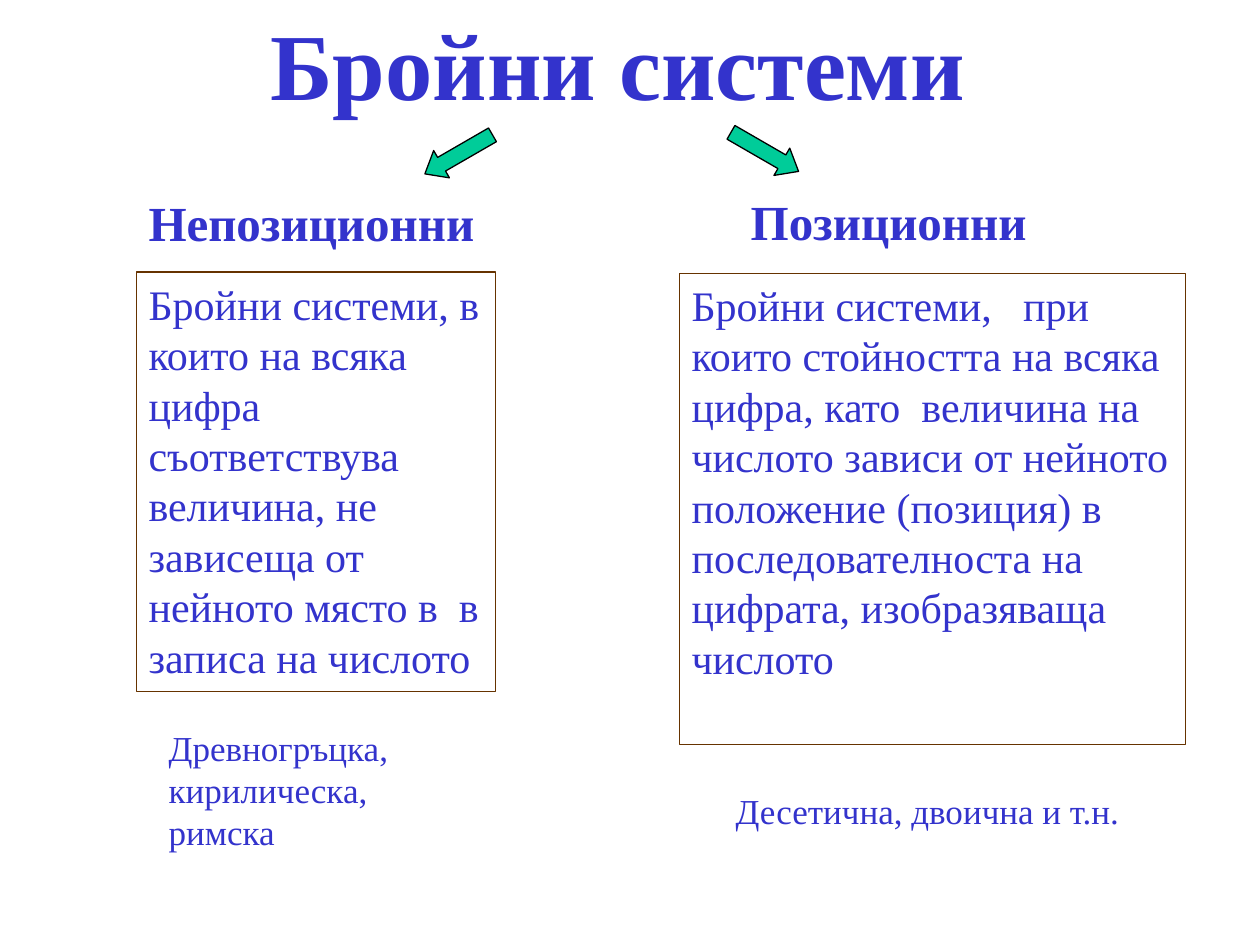
from pptx import Presentation
from pptx.dml.color import RGBColor
from pptx.enum.shapes import MSO_SHAPE
from pptx.enum.text import MSO_ANCHOR, PP_ALIGN
from pptx.util import Pt

# Content: places are left, top, width, height in points
TITLE = ("Бройни системи", (139, 0, 428, 106))
HEADINGS = [
    ("Непозиционни", (77.8, 106.5, 211, 41), 7.2),
    ("Позиционни", (401, 105.8, 248.4, 41), 28),
]
DEFINITIONS = [
    ("Бройни системи, в които на всяка цифра съответствува величина, "
     "не зависеща от нейното място в  в записа на числото",
     (77.8, 155.5, 205.2, 239.8)),
    ("Бройни системи,   при  които стойността на всяка цифра, като  величина на "
     "числото зависи от нейното положение (позиция) в последователноста на "
     "цифрата, изобразяваща  числото",
     (388.1, 156.2, 289.4, 269.3)),
]
EXAMPLES = [
    ("Древногръцка, кирилическа, римска", (89.3, 411.8, 164.2, 80)),
    ("Десетична, двоична и т.н.", (413.3, 447.8, 241.2, 31.7)),
]
ARROWS = [((239.8, 79.2, 44.6, 18), 150), ((414.7, 77.8, 44.6, 18), 30)]

BLUE, BROWN, GREEN, BLACK, WHITE = "3333CC", "663300", "00CC99", "000000", "FFFFFF"
FRAME = dict(word_wrap=True, vertical_anchor=MSO_ANCHOR.TOP)


def rgb(code):
    return RGBColor.from_string(code)


def place(box):
    return [Pt(v) for v in box]


def write(sp, text, size, bold=False, align=PP_ALIGN.LEFT, indent=7.2):
    tf = sp.text_frame
    for name, value in dict(FRAME, margin_left=Pt(indent)).items():
        setattr(tf, name, value)
    p = tf.paragraphs[0]
    p.alignment = align
    r = p.add_run()
    r.text = text
    for name, value in dict(name="Times New Roman", size=Pt(size), bold=bold).items():
        setattr(r.font, name, value)
    r.font.color.rgb = rgb(BLUE)


def add_shape(s, kind, box, fill, line):
    sp = s.shapes.add_shape(kind, *place(box))
    sp.shadow.inherit = False
    sp.fill.solid()
    sp.fill.fore_color.rgb = rgb(fill)
    sp.line.color.rgb = rgb(line)
    sp.line.width = Pt(0.75)
    return sp


prs = Presentation()
prs.slide_width, prs.slide_height = Pt(720), Pt(540)
s = prs.slides.add_slide(prs.slide_layouts[5])

# Title
text, box = TITLE
title = s.shapes.title
title.left, title.top, title.width, title.height = place(box)
write(title, text, 54, bold=True, align=PP_ALIGN.CENTER)

# Column headings
for text, box, indent in HEADINGS:
    write(s.shapes.add_textbox(*place(box)), text, 28, bold=True, indent=indent)

# Framed definitions
for text, box in DEFINITIONS:
    write(add_shape(s, MSO_SHAPE.RECTANGLE, box, WHITE, BROWN), text, 24)

# Arrows from the title to the columns
for box, angle in ARROWS:
    sp = add_shape(s, MSO_SHAPE.RIGHT_ARROW, box, GREEN, BLACK)
    sp.adjustments[1] = 0.61
    sp.rotation = angle

# Examples
for text, box in EXAMPLES:
    write(s.shapes.add_textbox(*place(box)), text, 20)

prs.save("out.pptx")
